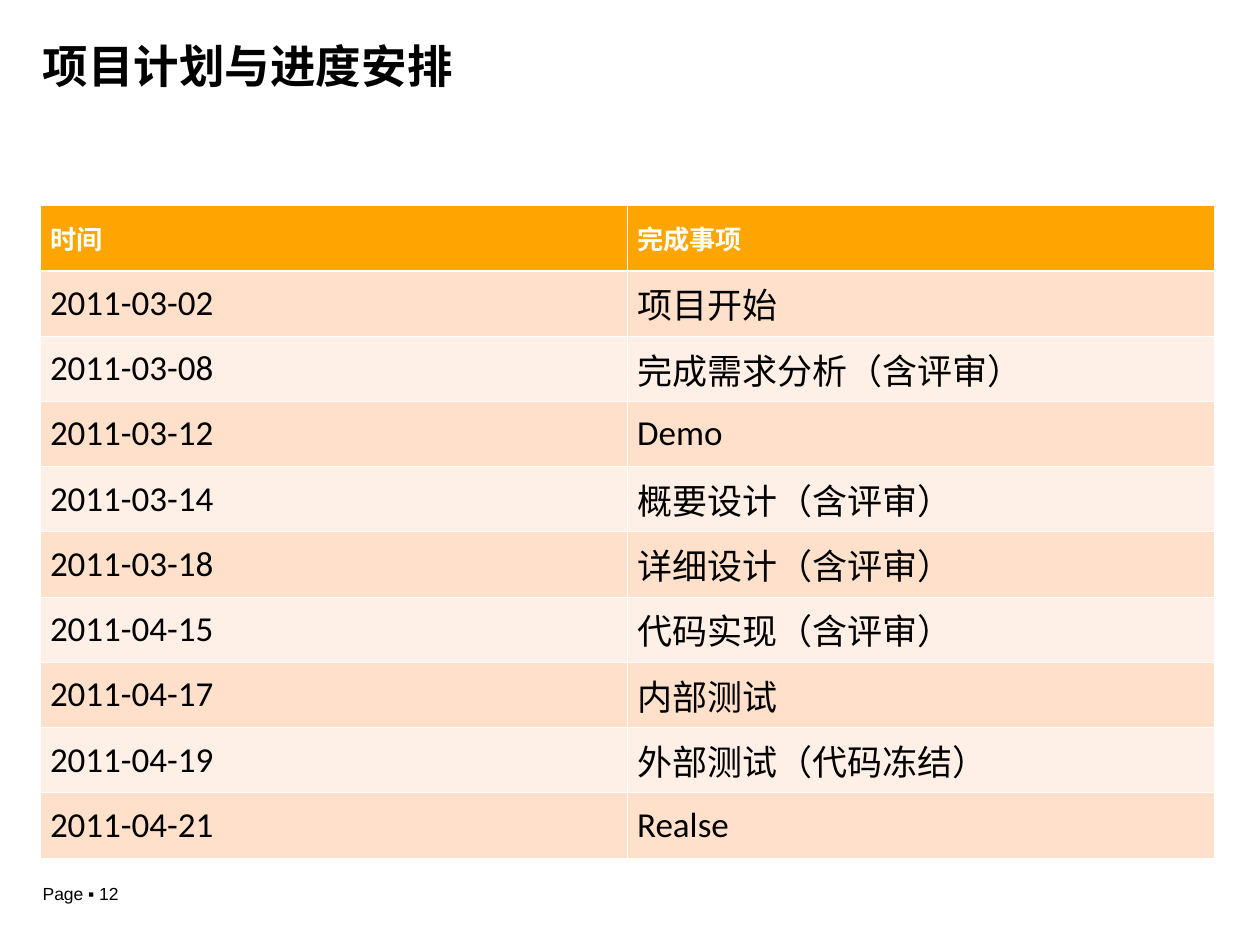
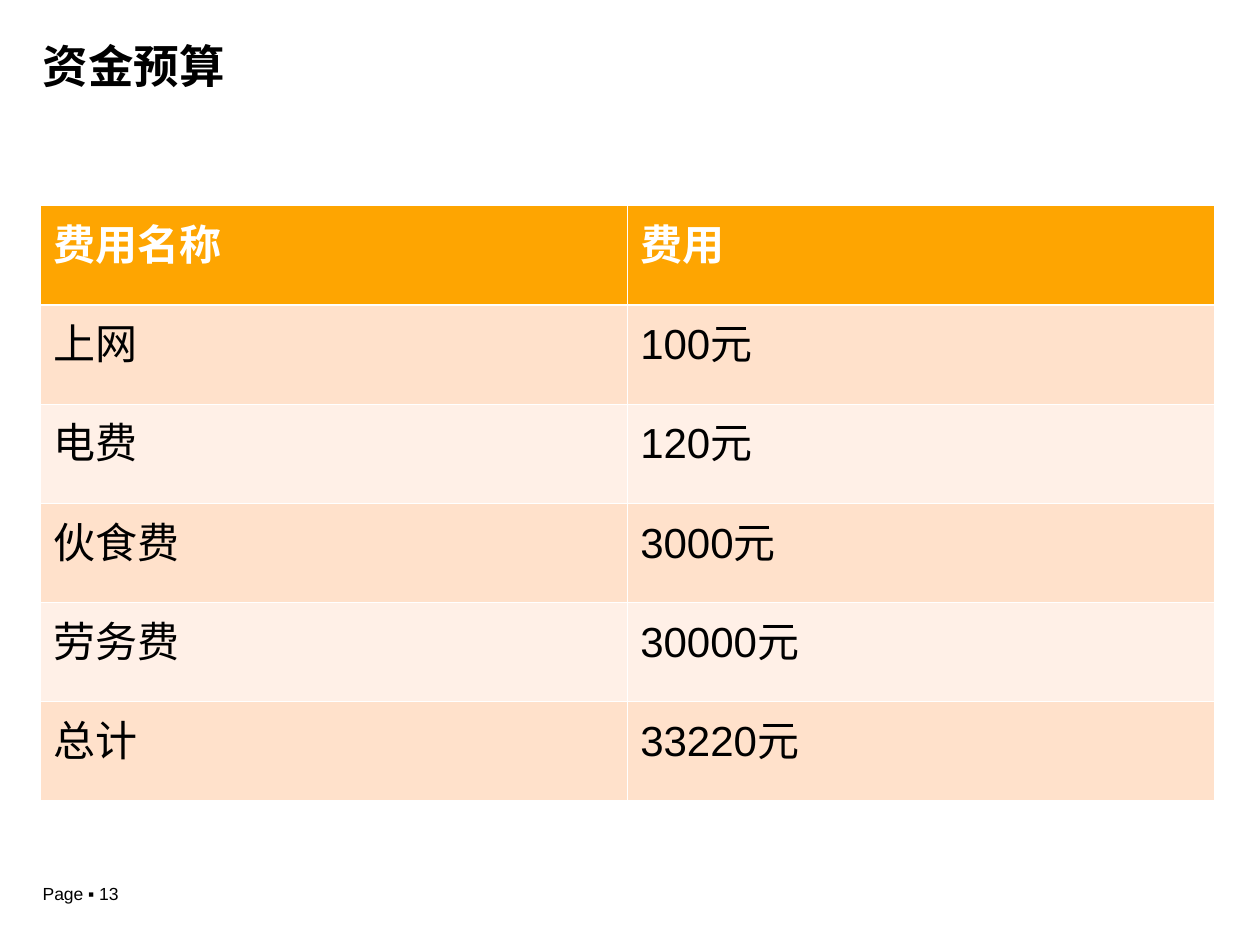
from lxml import etree
from pptx import Presentation
from pptx.dml.color import RGBColor
from pptx.enum.text import MSO_ANCHOR, PP_ALIGN
from pptx.oxml.ns import qn
from pptx.util import Pt

TOP, MIDDLE = MSO_ANCHOR.TOP, MSO_ANCHOR.MIDDLE
LEFT, JUSTIFY = PP_ALIGN.LEFT, PP_ALIGN.JUSTIFY

COLORS = {
    "text": "000000",
    "white": "FFFFFF",
    "header": "FEA501",
    "odd": "FFE1CB",
    "even": "FFF0E7",
}
THIN, THICK = 0.45, 1.47
TABLE_LEFT, TABLE_TOP, TABLE_WIDTH = 23.2, 117.5, 671

PAGES = [
    {
        "title": "项目计划与进度安排",
        "number": 12,
        "height": 373,
        "font": "Calibri",
        "header_size": 15,
        "body_size": 20,
        "anchor": MIDDLE,
        "align": JUSTIFY,
        "margin": 5.4,
        "rows": [
            ("时间", "完成事项"),
            ("2011-03-02", "项目开始"),
            ("2011-03-08", "完成需求分析（含评审）"),
            ("2011-03-12", "Demo"),
            ("2011-03-14", "概要设计（含评审）"),
            ("2011-03-18", "详细设计（含评审）"),
            ("2011-04-15", "代码实现（含评审）"),
            ("2011-04-17", "内部测试"),
            ("2011-04-19", "外部测试（代码冻结）"),
            ("2011-04-21", "Realse"),
        ],
    },
    {
        "title": "资金预算",
        "number": 13,
        "height": 340,
        "font": "Arial",
        "header_size": 24,
        "body_size": 24,
        "anchor": TOP,
        "align": LEFT,
        "margin": 7.2,
        "rows": [
            ("费用名称", "费用"),
            ("上网", "100元"),
            ("电费", "120元"),
            ("伙食费", "3000元"),
            ("劳务费", "30000元"),
            ("总计", "33220元"),
        ],
    },
]


def add_span(para, text, font, size, color, bold=False):
    span = para.add_run()
    span.text = text
    span.font.name = font
    span.font.size = Pt(size)
    span.font.bold = bold
    span.font.color.rgb = RGBColor.from_string(COLORS[color])


def add_border(cell, side, width):
    line = etree.SubElement(cell._tc.get_or_add_tcPr(), qn(f"a:{side}"), w=str(Pt(width)))
    fill = etree.SubElement(line, qn("a:solidFill"))
    etree.SubElement(fill, qn("a:srgbClr"), val=COLORS["white"])


deck = Presentation()
deck.slide_width, deck.slide_height = Pt(720), Pt(540)

for content in PAGES:
    page = deck.slides.add_slide(deck.slide_layouts[6])
    page.background.fill.solid()
    page.background.fill.fore_color.rgb = RGBColor.from_string(COLORS["white"])

    labels = [
        (f"Page ▪ {content['number']}", (17.3, 501, 106, 19.5), 7.2, 10, False, 1.0),
        (content["title"], (24.5, 21.6, 671, 51), 0, 26, True, 0.9),
    ]
    for text, frame, margin, size, bold, spacing in labels:
        box = page.shapes.add_textbox(*map(Pt, frame)).text_frame
        box.word_wrap = True
        box.margin_left = box.margin_right = Pt(margin)
        box.margin_top = box.margin_bottom = Pt(3.6)
        para = box.paragraphs[0]
        para.line_spacing = spacing
        add_span(para, text, "Arial", size, "text", bold)

    rows = content["rows"]
    table = page.shapes.add_table(
        len(rows), 2, Pt(TABLE_LEFT), Pt(TABLE_TOP), Pt(TABLE_WIDTH), Pt(content["height"])
    ).table
    for row_index, values in enumerate(rows):
        is_header = row_index == 0
        table.rows[row_index].height = Pt(content["height"] / len(rows))
        band = "header" if is_header else ("even", "odd")[row_index % 2]
        size = content["header_size"] if is_header else content["body_size"]
        borders = {
            "lnL": THIN,
            "lnR": THIN,
            "lnT": THICK if row_index == 1 else THIN,
            "lnB": THICK if is_header else THIN,
        }
        for column_index, value in enumerate(values):
            cell = table.cell(row_index, column_index)
            for side, width in borders.items():
                add_border(cell, side, width)
            cell.fill.solid()
            cell.fill.fore_color.rgb = RGBColor.from_string(COLORS[band])
            cell.vertical_anchor = content["anchor"]
            cell.margin_left = cell.margin_right = Pt(content["margin"])
            cell.margin_top = cell.margin_bottom = Pt(3.6)
            para = cell.text_frame.paragraphs[0]
            para.alignment = content["align"]
            color = "white" if is_header else "text"
            add_span(para, value, content["font"], size, color, is_header)

deck.save("out.pptx")
